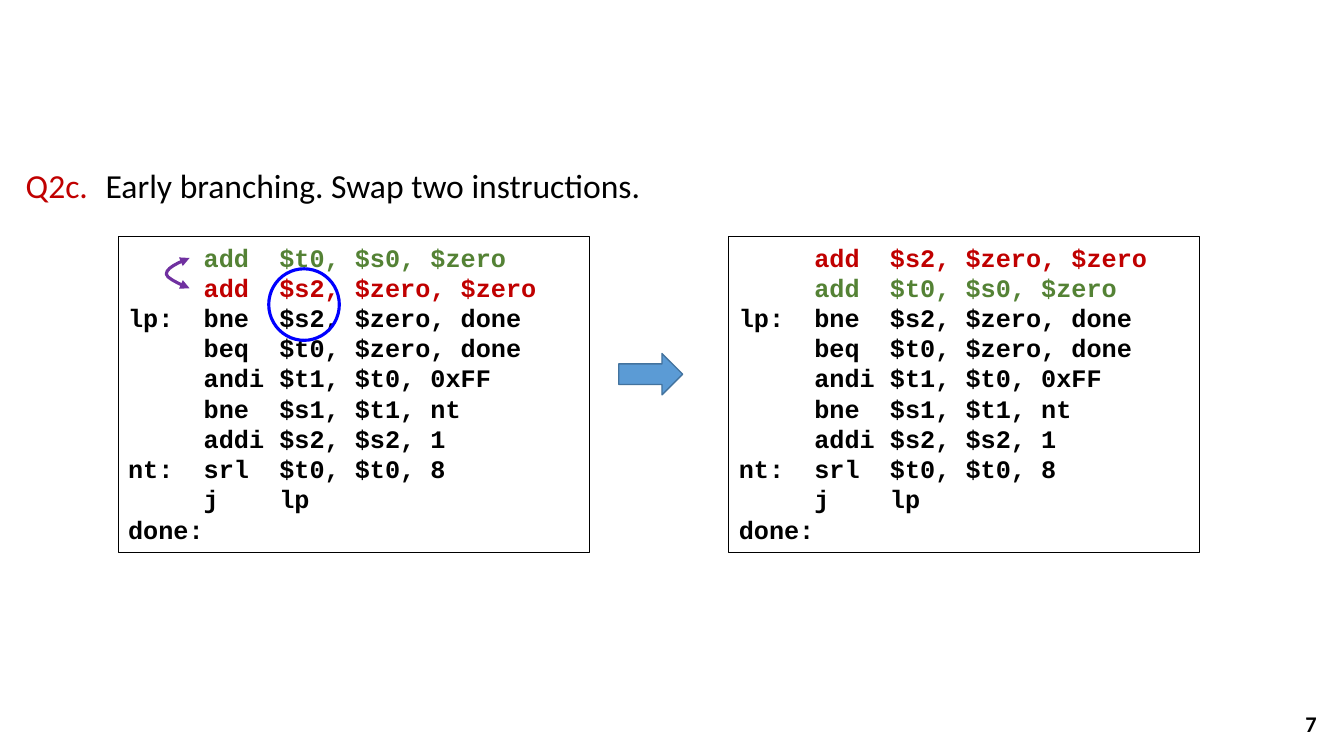
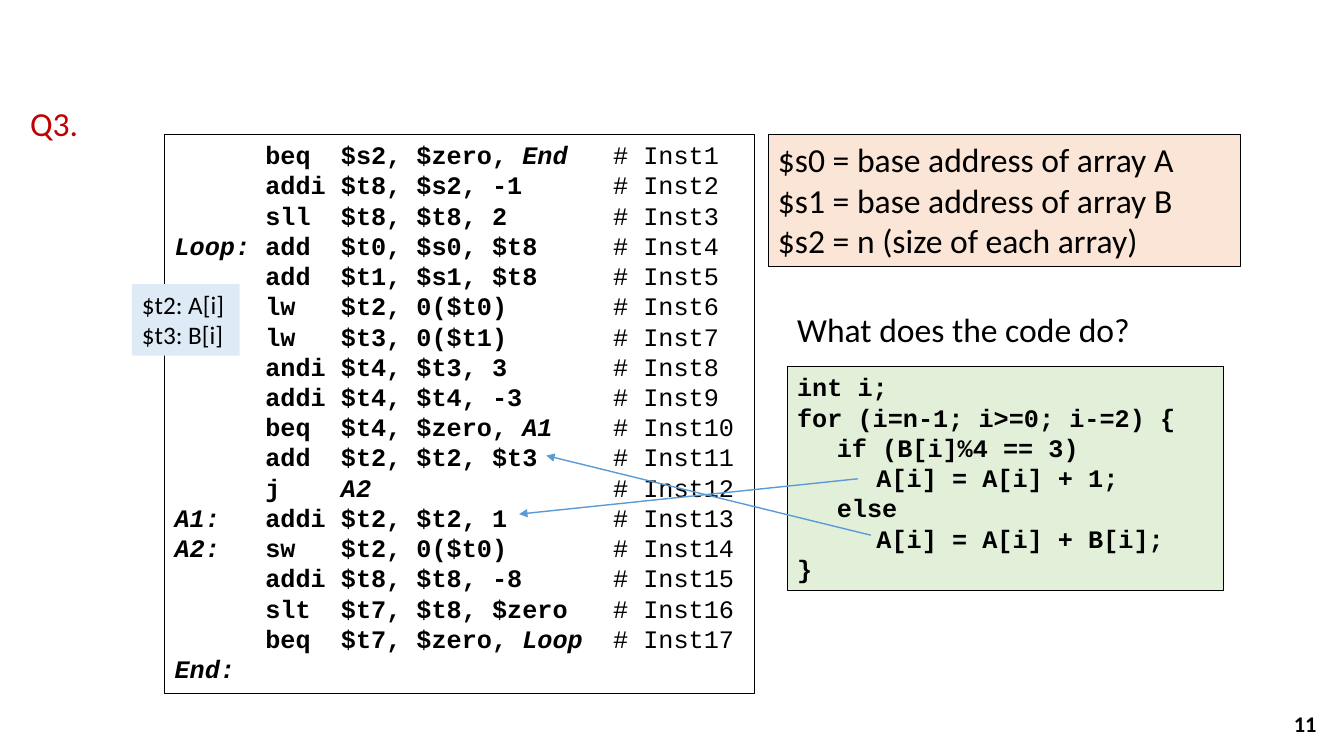
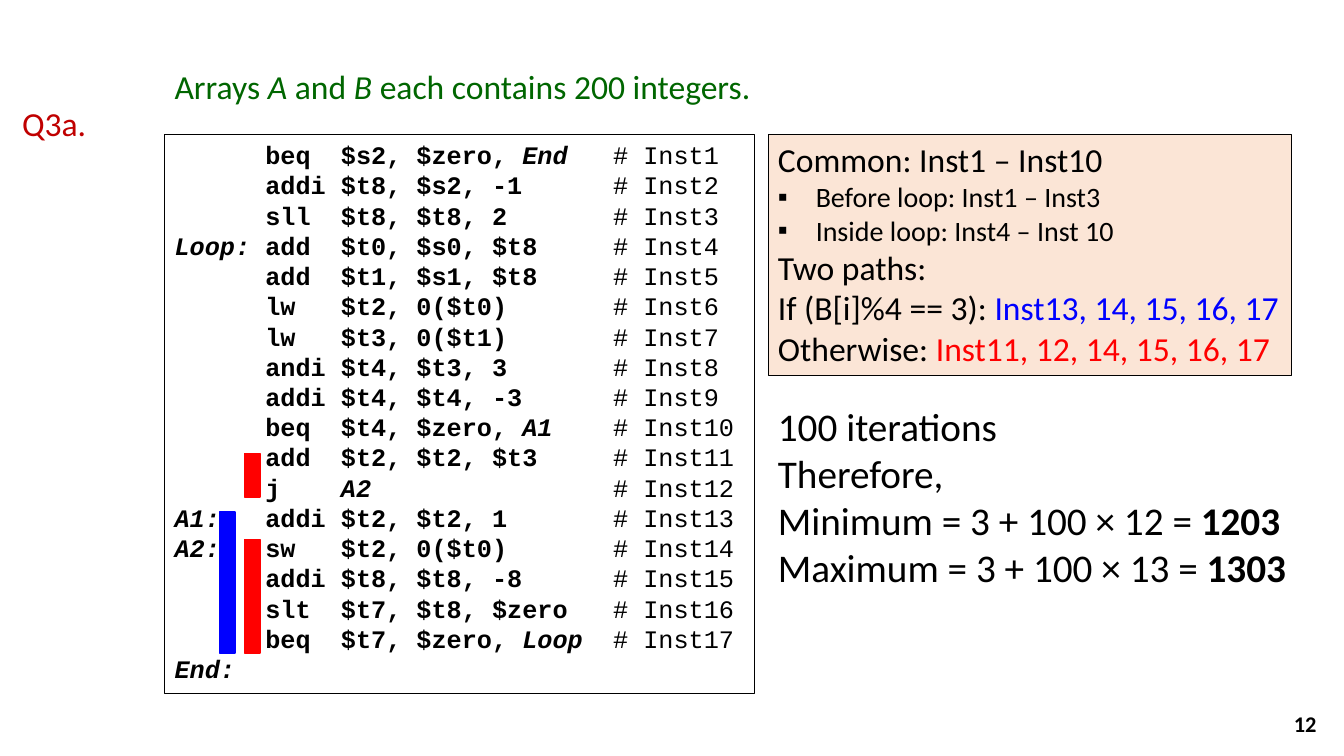
from dataclasses import dataclass, field
from typing import NamedTuple, Optional

from lxml.etree import SubElement as Sub
from pptx import Presentation
from pptx.dml.color import RGBColor as RGB
from pptx.enum.shapes import MSO_CONNECTOR as Link, MSO_SHAPE as Kind
from pptx.enum.text import MSO_ANCHOR as Anchor, PP_ALIGN as Align
from pptx.oxml.ns import qn
from pptx.util import Pt


class Theme:
    black = RGB.from_string("000000")
    question = RGB.from_string("C00000")
    green = RGB.from_string("548235")
    dark = RGB.from_string("006600")
    blue = RGB.from_string("0000FF")
    red = RGB.from_string("FF0000")
    purple = RGB.from_string("7030A0")
    arrow = RGB.from_string("5B9BD5")
    edge = RGB.from_string("43739E")
    peach = RGB.from_string("FBE5D6")
    mint = RGB.from_string("E2F0D9")
    pale = RGB.from_string("DEEBF7")
    prose = {"name": "Calibri", "size": Pt(24), "color": black}
    code = {"name": "Courier New", "size": Pt(18), "bold": True, "color": black}
    small = {**prose, "size": Pt(18)}
    large = {**prose, "size": Pt(28)}
    number = {**prose, "size": Pt(16), "bold": True}
    thin, mid, thick = 0.75, 1, 2.25


class Area(NamedTuple):
    x: float
    y: float
    w: float
    h: float


class Run(NamedTuple):
    text: str
    look: dict


@dataclass
class Para:
    runs: list
    bullet: bool = False


@dataclass
class Box:
    area: Area
    paras: list
    look: dict = field(default_factory=lambda: Theme.prose)
    fill: Optional[RGB] = None
    line: Optional[RGB] = None
    align: Align = Align.LEFT
    anchor: Anchor = Anchor.TOP
    tabs: tuple = ()


class Mark(NamedTuple):
    """A preset shape without text."""
    kind: Kind
    area: Area
    fill: Optional[RGB]
    line: RGB
    width: float


class Arrow(NamedTuple):
    start: tuple
    end: tuple


class Step(NamedTuple):
    """One line of assembly: label, instruction and jump target."""
    label: str
    code: str
    goal: str = ""


def run(text: str, **look) -> Run:
    return Run(text, look)


def para(*runs: Run, bullet: bool = False) -> Para:
    return Para(list(runs), bullet)


def plain(*texts: str) -> list:
    return [para(run(text)) for text in texts]


def paint(shape, fill: Optional[RGB], line: Optional[RGB], width: float) -> None:
    shape.shadow.inherit = False
    if fill is None:
        shape.fill.background()
    else:
        shape.fill.solid()
        shape.fill.fore_color.rgb = fill
    if line is None:
        shape.line.fill.background()
    else:
        shape.line.color.rgb = line
        shape.line.width = Pt(width)


def style(font, look: dict) -> None:
    for key, value in look.items():
        if key == "color":
            font.color.rgb = value
        else:
            setattr(font, key, value)


def indent(item, bullet: bool, tabs: tuple) -> None:
    """Add the bullet or the tab stops of a paragraph."""
    props = item._p.get_or_add_pPr()
    if bullet:
        props.set("marL", str(Pt(27)))
        props.set("indent", str(-Pt(27)))
        Sub(props, qn("a:buFont"), typeface="Arial")
        Sub(props, qn("a:buChar"), char="▪")
    if tabs:
        stops = Sub(props, qn("a:tabLst"))
        for stop in tabs:
            Sub(stops, qn("a:tab"), pos=str(Pt(stop)), algn="l")


def draw_box(slide, box: Box) -> None:
    area = [Pt(side) for side in box.area]
    if box.fill is None and box.line is None:
        shape = slide.shapes.add_textbox(*area)
    else:
        shape = slide.shapes.add_shape(Kind.RECTANGLE, *area)
        paint(shape, box.fill, box.line, Theme.thin)
    frame = shape.text_frame
    frame.word_wrap = True
    frame.vertical_anchor = box.anchor
    for index, text in enumerate(box.paras):
        item = frame.add_paragraph() if index else frame.paragraphs[0]
        item.alignment = box.align
        indent(item, text.bullet, box.tabs)
        for part in text.runs:
            piece = item.add_run()
            piece.text = part.text
            style(piece.font, {**box.look, **part.look})


def draw_mark(slide, mark: Mark) -> None:
    shape = slide.shapes.add_shape(mark.kind, *[Pt(side) for side in mark.area])
    paint(shape, mark.fill, mark.line, mark.width)


def add_tips(line, *ends: str) -> None:
    outline = line._get_or_add_ln()
    for end in ends:
        Sub(outline, qn(f"a:{end}"), type="triangle")


def draw_arrow(slide, arrow: Arrow) -> None:
    ends = [Pt(value) for value in (*arrow.start, *arrow.end)]
    link = slide.shapes.add_connector(Link.STRAIGHT, *ends)
    link.line.color.rgb = Theme.arrow
    link.line.width = Pt(Theme.mid)
    add_tips(link.line, "a:tailEnd"[2:])
    Sub(link._element.spPr, qn("a:effectLst"))


def bend(nodes: tuple, steps: int = 6) -> list:
    """Return points along a cubic Bezier curve, without its start."""
    points = []
    for step in range(1, steps + 1):
        t = step / steps
        parts = ((1 - t) ** 3, 3 * t * (1 - t) ** 2, 3 * t * t * (1 - t), t ** 3)
        points.append(tuple(
            Pt(sum(part * node[axis] for part, node in zip(parts, nodes)))
            for axis in (0, 1)))
    return points


def draw_swap(slide) -> None:
    """Draw the curved double arrow between the two swapped lines."""
    top, left, low = (135.4, 184.3), (118.8, 195.8), (135.4, 205.9)
    upper = (top, (126.7, 187.9), (118.8, 191.5), left)
    lower = (left, (118.8, 199.4), low, low)
    path = slide.shapes.build_freeform(Pt(top[0]), Pt(top[1]))
    path.add_line_segments(bend(upper) + bend(lower), close=False)
    curve = path.convert_to_shape()
    paint(curve, None, Theme.purple, Theme.thick)
    add_tips(curve.line, "headEnd", "tailEnd")


STEPS = (
    Step("", "beq  $s2, $zero, ", "End"),
    Step("", "addi $t8, $s2, -1"),
    Step("", "sll  $t8, $t8, 2"),
    Step("Loop:", "add  $t0, $s0, $t8"),
    Step("", "add  $t1, $s1, $t8"),
    Step("", "lw   $t2, 0($t0)"),
    Step("", "lw   $t3, 0($t1)"),
    Step("", "andi $t4, $t3, 3"),
    Step("", "addi $t4, $t4, -3"),
    Step("", "beq  $t4, $zero, ", "A1"),
    Step("", "add  $t2, $t2, $t3"),
    Step("", "j    ", "A2"),
    Step("A1:", "addi $t2, $t2, 1"),
    Step("A2:", "sw   $t2, 0($t0)"),
    Step("", "addi $t8, $t8, -8"),
    Step("", "slt  $t7, $t8, $zero"),
    Step("", "beq  $t7, $zero, ", "Loop"),
)


def list_steps() -> Box:
    """Build the numbered assembly listing, with its comments in one column."""
    label, width = 6, 23
    paras = []
    for number, step in enumerate(STEPS, 1):
        paras.append(para(
            run(step.label.ljust(label), italic=True),
            run(step.code),
            run(step.goal.ljust(width - len(step.code)), italic=True),
            run(f"# Inst{number}", bold=False)))
    paras.append(para(run("End:", italic=True)))
    return Box(Area(117.6, 96, 421.2, 399.6), paras, Theme.code, line=Theme.black)


def start(deck, number: int, label: str, x: float, y: float):
    """Add a slide with its question label and page number."""
    slide = deck.slides.add_slide(deck.slide_layouts[6])
    draw_box(slide, Box(Area(x, y, 71.3, 36), [para(run(label, color=Theme.question))],
                        align=Align.CENTER))
    draw_box(slide, Box(Area(731.5, 502.6, 216, 28.8), plain(str(number)),
                        Theme.number, align=Align.RIGHT, anchor=Anchor.MIDDLE))
    return slide


def swap_slide(deck) -> None:
    slide = start(deck, 7, "Q2c.", 5, 114.5)
    draw_box(slide, Box(Area(68.4, 114.5, 650.9, 36),
                        plain("Early branching. Swap two instructions.")))
    pair = [para(run("     add  $t0, $s0, $zero", color=Theme.green)),
            para(run("     add  $s2, $zero, $zero", color=Theme.question))]
    rest = plain(
        "lp:  bne  $s2, $zero, done",
        "     beq  $t0, $zero, done",
        "     andi $t1, $t0, 0xFF",
        "     bne  $s1, $t1, nt",
        "     addi $s2, $s2, 1",
        "nt:  srl  $t0, $t0, 8",
        "     j    lp",
        "done:")
    for x, first in ((84.4, pair), (520.6, pair[::-1])):
        draw_box(slide, Box(Area(x, 169.2, 336.4, 225.4), first + rest,
                            Theme.code, line=Theme.black))
    for mark in (
        Mark(Kind.RIGHT_ARROW, Area(442, 252.5, 45.6, 29.5),
             Theme.arrow, Theme.edge, Theme.mid),
        Mark(Kind.OVAL, Area(192, 192, 50.4, 51.1), None, Theme.blue, Theme.thick),
    ):
        draw_mark(slide, mark)
    draw_swap(slide)


def code_slide(deck) -> None:
    slide = start(deck, 11, "Q3.", 3, 70)
    source = plain(
        "int i;",
        "for (i=n-1; i>=0; i-=2) {",
        "\tif (B[i]%4 == 3)",
        "\t\tA[i] = A[i] + 1;",
        "\telse",
        "\t\tA[i] = A[i] + B[i];",
        "}")
    bases = plain("$s0 = base address of array A",
                  "$s1 = base address of array B",
                  "$s2 = n (size of each array)")
    for box in (
        list_steps(),
        Box(Area(562.3, 217.4, 303.8, 36), plain("What does the code do?")),
        Box(Area(562.3, 262, 311.8, 159.8), source, Theme.code,
            Theme.mint, Theme.black, tabs=(28.35, 56.7)),
        Box(Area(548.6, 96, 337.7, 94.3), bases, fill=Theme.peach, line=Theme.black),
        Box(Area(94.3, 203, 77, 51), plain("$t2: A[i]", "$t3: B[i]"),
            Theme.small, Theme.pale),
    ):
        draw_box(slide, box)
    for arrow in (Arrow((612.7, 342), (370.8, 367.2)),
                  Arrow((622, 382.3), (390.2, 325.4))):
        draw_arrow(slide, arrow)


def count_slide(deck) -> None:
    slide = start(deck, 12, "Q3a.", 3, 70)
    paths = [
        para(run("Common: Inst1 – Inst10")),
        para(run("Before loop: Inst1 – Inst3", size=Pt(20)), bullet=True),
        para(run("Inside loop: Inst4 – Inst 10", size=Pt(20)), bullet=True),
        para(run("Two paths:")),
        para(run("If (B[i]%4 == 3): "),
             run("Inst13, 14, 15, 16, 17", color=Theme.blue)),
        para(run("Otherwise: "),
             run("Inst11, 12, 14, 15, 16, 17", color=Theme.red)),
    ]
    totals = plain("100 iterations", "Therefore,") + [
        para(run(f"{name} = 3 + 100 × {each} = "), run(str(3 + 100 * each), bold=True))
        for name, each in (("Minimum", 12), ("Maximum", 13))]
    title = para(run("Arrays "), run("A", italic=True), run(" and "),
                 run("B", italic=True), run(" each contains 200 integers."))
    for box in (
        list_steps(),
        Box(Area(548.6, 96, 373.7, 172), paths, fill=Theme.peach, line=Theme.black),
        Box(Area(548.6, 283.7, 390.2, 143.3), totals, Theme.large),
        Box(Area(117.6, 43.2, 455.8, 36), [title],
            {**Theme.prose, "color": Theme.dark}),
    ):
        draw_box(slide, box)
    for x, y, high, color in ((157, 365.8, 100.8, Theme.blue),
                              (174.7, 324, 31, Theme.red),
                              (174.7, 385.2, 81.4, Theme.red)):
        draw_mark(slide, Mark(Kind.RECTANGLE, Area(x, y, 11, high),
                              color, color, Theme.mid))


def main() -> None:
    deck = Presentation()
    deck.slide_width, deck.slide_height = Pt(960), Pt(540)
    for build in (swap_slide, code_slide, count_slide):
        build(deck)
    deck.save("out.pptx")


if __name__ == "__main__":
    main()
